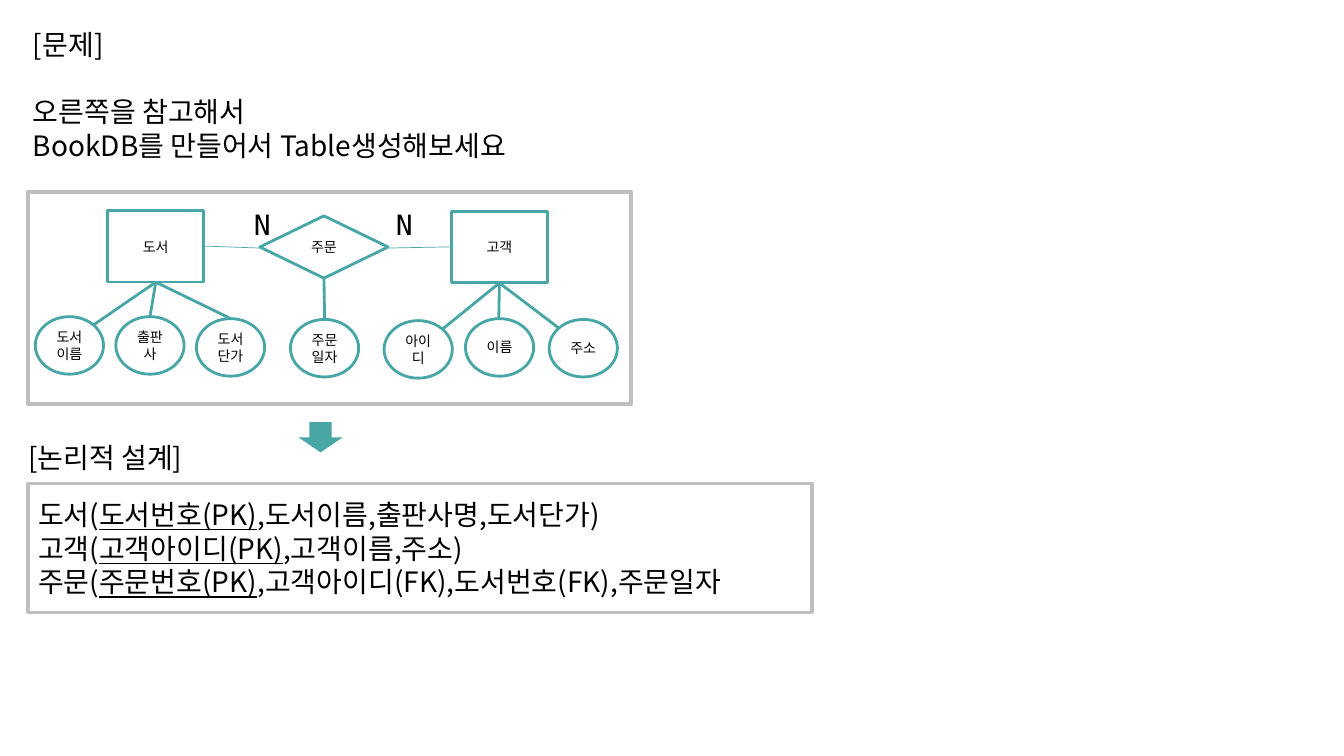
from dataclasses import dataclass

from lxml.etree import SubElement
from pptx import Presentation
from pptx.dml.color import RGBColor
from pptx.enum.shapes import MSO_CONNECTOR, MSO_SHAPE
from pptx.enum.text import MSO_ANCHOR, PP_ALIGN
from pptx.oxml.ns import qn
from pptx.util import Cm, Pt


@dataclass(frozen=True)
class Theme:
    teal: RGBColor = RGBColor(0x49, 0xA6, 0xA6)
    gray: RGBColor = RGBColor(0xBF, 0xBF, 0xBF)
    text: RGBColor = RGBColor(0, 0, 0)
    label_font: str = "Arial"
    body_font: str = "Noto Sans CJK KR"
    mono_font: str = "DejaVu Sans Mono"
    label_size: int = 10
    body_size: int = 20
    leading: int = 24


class Diagram:
    def __init__(self, slide, theme):
        self.s = slide
        self.theme = theme

    def shape(self, kind, x, y, w, h, line=None, width=2, fill=None):
        sp = self.s.shapes.add_shape(kind, Cm(x), Cm(y), Cm(w), Cm(h))
        sp.shadow.inherit = False
        if fill is None:
            sp.fill.background()
        else:
            sp.fill.solid()
            sp.fill.fore_color.rgb = fill
        if line is None:
            sp.line.fill.background()
        else:
            sp.line.color.rgb = line
            sp.line.width = Pt(width)
        return sp

    def run(self, p, text, font, size, underline=False):
        r = p.add_run()
        r.text = text
        r.font.name = font
        r.font.size = Pt(size)
        r.font.color.rgb = self.theme.text
        if underline:
            r.font.underline = True
        if font == self.theme.body_font:
            SubElement(r.font._element, qn("a:ea")).set("typeface", font)

    def node(self, kind, x, y, w, h, *lines):
        tf = self.shape(kind, x, y, w, h, self.theme.teal).text_frame
        tf.word_wrap = True
        tf.vertical_anchor = MSO_ANCHOR.MIDDLE
        for i, line in enumerate(lines):
            p = tf.add_paragraph() if i else tf.paragraphs[0]
            p.alignment = PP_ALIGN.CENTER
            self.run(p, line, self.theme.label_font, self.theme.label_size)

    def line(self, start, end, width=2):
        c = self.s.shapes.add_connector(
            MSO_CONNECTOR.STRAIGHT, *map(Cm, (*start, *end)))
        c.line.color.rgb = self.theme.teal
        c.line.width = Pt(width)
        SubElement(c._element.spPr, qn("a:effectLst"))

    def body(self, tf, paragraphs):
        tf.word_wrap = True
        for i, runs in enumerate(paragraphs):
            p = tf.add_paragraph() if i else tf.paragraphs[0]
            p.alignment = PP_ALIGN.LEFT
            p.line_spacing = Pt(self.theme.leading)
            for text, underline in runs:
                self.run(p, text, self.theme.body_font, self.theme.body_size, underline)

    def textbox(self, x, y, w, h):
        tf = self.s.shapes.add_textbox(Cm(x), Cm(y), Cm(w), Cm(h)).text_frame
        tf.word_wrap = True
        return tf


ENTITIES = [
    (MSO_SHAPE.DIAMOND, (6.55, 5.44, 3.23, 1.57), "주문",
     [(7.32, 8.05, ["주문일자"], (8.18, 8.05))]),
    (MSO_SHAPE.RECTANGLE, (2.72, 5.31, 2.41, 1.8), "도서",
     [(0.89, 7.98, ["도서", "이름"], (2.34, 8.2)),
      (2.92, 7.98, ["출판사"], (3.78, 7.98)),
      (4.95, 8.03, ["도서단가"], (5.82, 8.03))]),
    (MSO_SHAPE.RECTANGLE, (11.38, 5.33, 2.41, 1.8), "고객",
     [(9.68, 8.08, ["아이디"], (11.13, 8.31)),
      (11.73, 8.03, ["이름"], (12.57, 8.03)),
      (13.84, 8.05, ["주소"], (14.1, 8.28))]),
]
RELATIONS = [((5.11, 6.2), (6.55, 6.25)), ((9.8, 6.25), (11.38, 6.22))]
TABLES = [
    ("도서(", "도서번호(PK)", ",도서이름,출판사명,도서단가)"),
    ("고객(", "고객아이디(PK)", ",고객이름,주소)"),
    ("주문(", "주문번호(PK)", ",고객아이디(FK),도서번호(FK),주문일자"),
]
TASK = ["[문제]", "오른쪽을 참고해서", "BookDB를 만들어서 Table생성해보세요"]


def main():
    prs = Presentation()
    prs.slide_width, prs.slide_height = Cm(33.87), Cm(19.05)
    theme = Theme()
    d = Diagram(prs.slides.add_slide(prs.slide_layouts[6]), theme)

    for kind, (x, y, w, h), name, attributes in ENTITIES:
        d.node(kind, x, y, w, h, name)
        for left, top, lines, joint in attributes:
            d.node(MSO_SHAPE.OVAL, left, top, 1.72, 1.45, *lines)
            d.line((x + w / 2, y + h), joint)
    for start, end in RELATIONS:
        d.line(start, end, 0.5)
    d.shape(MSO_SHAPE.RECTANGLE, 0.71, 4.83, 15.19, 5.36, theme.gray, 3)

    logic = d.shape(MSO_SHAPE.RECTANGLE, 0.71, 12.18, 19.76, 3.25, theme.gray, 2.5)
    logic.text_frame.vertical_anchor = MSO_ANCHOR.MIDDLE
    d.body(logic.text_frame, [
        [(head, False), (key, True), (rest, False)] for head, key, rest in TABLES])
    d.shape(MSO_SHAPE.DOWN_ARROW, 7.52, 10.64, 1.12, 0.76, fill=theme.teal)

    d.body(d.textbox(0.46, 10.97, 5.41, 1.1), [[("[논리적 설계]", False)]])
    for x in (6.15, 9.73):
        p = d.textbox(x, 5.11, 4.93, 1.1).paragraphs[0]
        d.run(p, "N", theme.mono_font, theme.body_size)
    task = d.textbox(0.58, 0.56, 12.85, 3.63)
    d.body(task, [[(text, False)] for text in TASK])
    task.paragraphs[1].space_before = Pt(theme.leading)

    prs.save("out.pptx")


if __name__ == "__main__":
    main()
